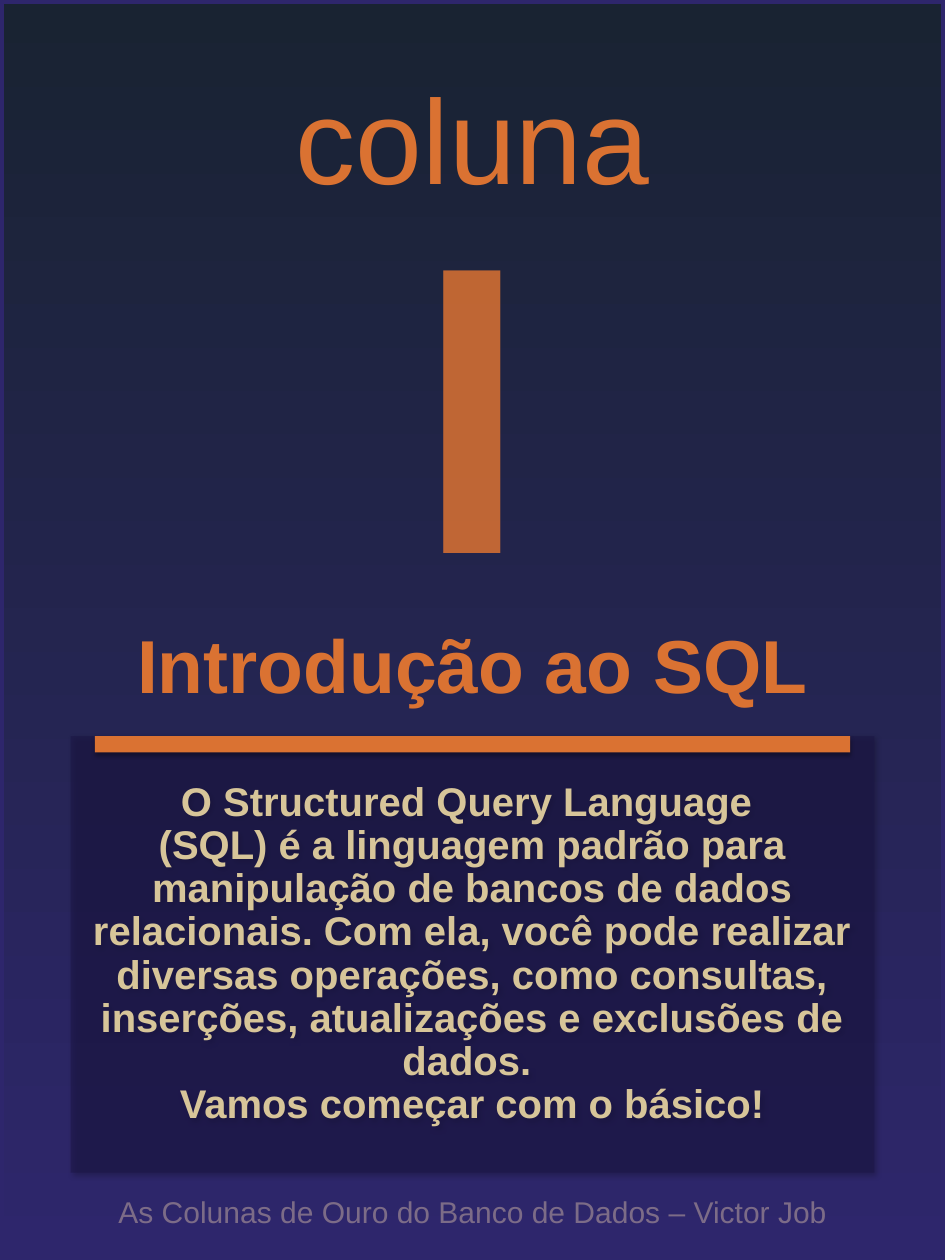
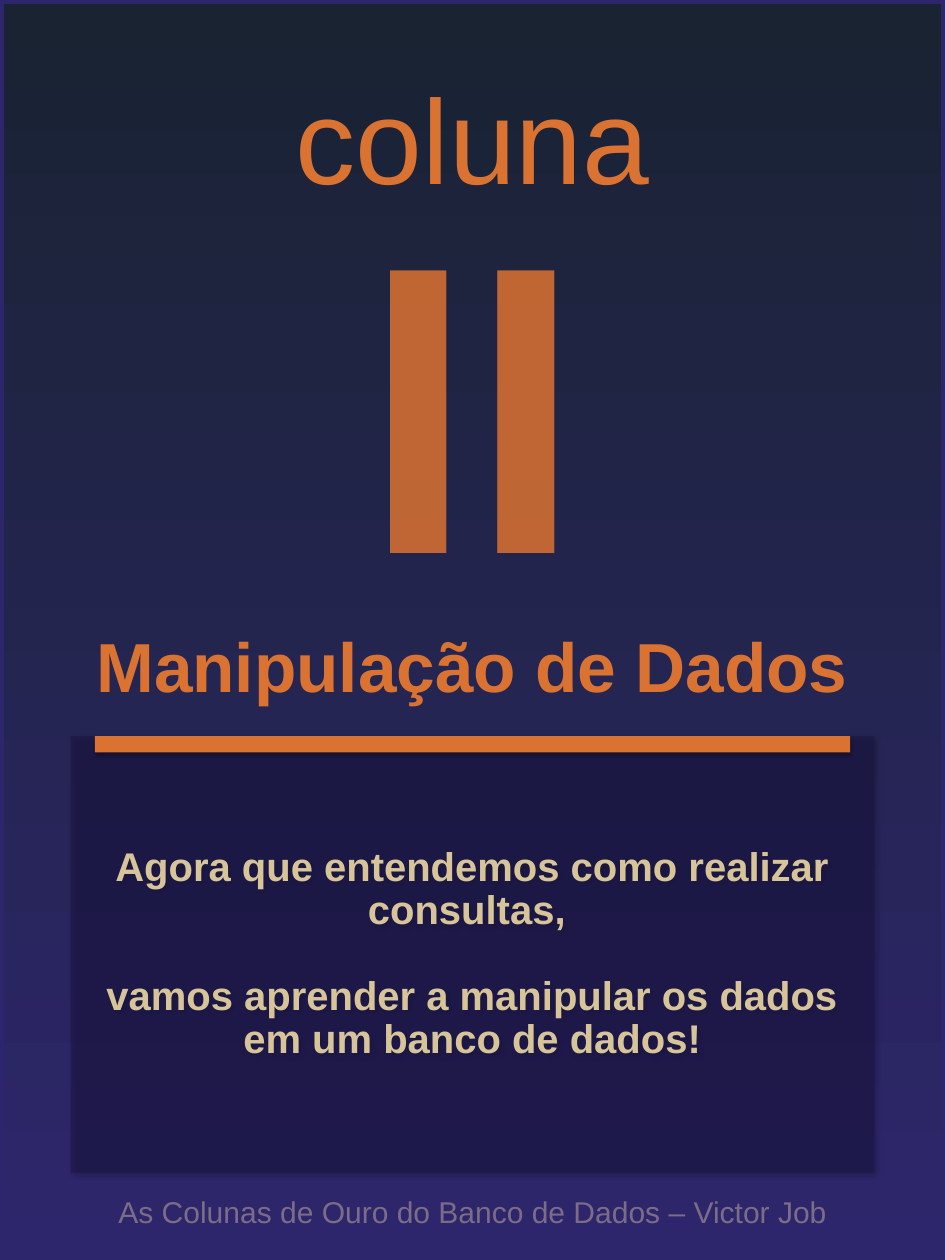
import pptx
import pptx.util
import pptx.dml.color
import pptx.enum.shapes
import pptx.enum.text
import pptx.oxml
import pptx.oxml.ns

COLUMNS = [
    {
        "numeral": "I",
        "heading": "Introdução ao SQL",
        "heading_size": 60,
        "summary": [
            "O Structured Query Language ",
            "(SQL) é a linguagem padrão para manipulação de bancos de dados "
            "relacionais. Com ela, você pode realizar diversas operações, como "
            "consultas, inserções, atualizações e exclusões de dados. ",
            "Vamos começar com o básico!",
        ],
        "summary_gap": 0,
    },
    {
        "numeral": "II",
        "heading": "Manipulação de Dados",
        "heading_size": 55.5,
        "summary": [
            "Agora que entendemos como realizar consultas, ",
            "vamos aprender a manipular os dados em um banco de dados!",
        ],
        "summary_gap": 34,
    },
]
LABEL = "coluna"
FOOTER = "As Colunas de Ouro do Banco de Dados – Victor Job"

COLORS = {
    "night": "192332",
    "indigo": "2E266C",
    "panel": "1B1545",
    "orange": "DA7232",
    "sand": "D7C599",
    "footer": "DABFAA",
    "shadow": "000000",
}
WIDTH, HEIGHT = 10.5, 14
PANEL_TOP, PANEL_WIDTH, PANEL_HEIGHT = 8.18, 8.93, 4.85
RULE_WIDTH, RULE_HEIGHT = 8.39, 0.18
BOXES = {
    "backdrop": (0, 0, WIDTH, HEIGHT),
    "banner": (0, 0.45, WIDTH, 7.1),
    "panel": ((WIDTH - PANEL_WIDTH) / 2, PANEL_TOP, PANEL_WIDTH, PANEL_HEIGHT),
    "footer": (0, 12.97, WIDTH, 1.03),
    "rule": ((WIDTH - RULE_WIDTH) / 2, PANEL_TOP, RULE_WIDTH, RULE_HEIGHT),
    "heading": (0, 6.64, WIDTH, 1.6),
}
NAMESPACE = pptx.oxml.ns.nsdecls("a")


def rgb(name):
    return pptx.dml.color.RGBColor.from_string(COLORS[name])


def inches(box):
    return [pptx.util.Inches(length) for length in BOXES[box]]


def set_alpha(fill, percent):
    color = fill._xPr.find(".//" + pptx.oxml.ns.qn("a:srgbClr"))
    color.append(pptx.oxml.parse_xml(f'<a:alpha {NAMESPACE} val="{percent * 1000}"/>'))


def add_shadow(part, alpha, blur, distance, angle):
    part._element.spPr.append(pptx.oxml.parse_xml(
        f'<a:effectLst {NAMESPACE}><a:outerShdw blurRad="{pptx.util.Pt(blur)}" '
        f'dist="{pptx.util.Pt(distance)}" dir="{angle * 60000}" algn="t" rotWithShape="0">'
        f'<a:srgbClr val="{COLORS["shadow"]}"><a:alpha val="{alpha * 1000}"/></a:srgbClr>'
        '</a:outerShdw></a:effectLst>'))


def outline_run(font, color, width, alpha):
    font.fill.background()
    font._element.insert(0, pptx.oxml.parse_xml(
        f'<a:ln {NAMESPACE} w="{pptx.util.Pt(width)}"><a:solidFill>'
        f'<a:srgbClr val="{COLORS[color]}"><a:alpha val="{alpha * 1000}"/></a:srgbClr>'
        '</a:solidFill></a:ln>'))


def write(part, text, size, color, font="Arial", bold=False, alpha=100, outline=0, gap=0):
    frame = part.text_frame
    frame.word_wrap = True
    frame.auto_size = pptx.enum.text.MSO_AUTO_SIZE.NONE
    frame.vertical_anchor = pptx.enum.text.MSO_ANCHOR.MIDDLE
    started = bool(frame.text)
    paragraph = frame.add_paragraph() if started else frame.paragraphs[0]
    paragraph.alignment = pptx.enum.text.PP_ALIGN.CENTER
    paragraph.line_spacing = 0.9
    paragraph.space_before = pptx.util.Pt(gap if started else 0)
    properties = paragraph._p.get_or_add_pPr()
    properties.set("marL", "0")
    properties.set("indent", "0")
    properties.append(pptx.oxml.parse_xml(f"<a:buNone {NAMESPACE}/>"))
    run = paragraph.add_run()
    run.text = text
    run.font.size = pptx.util.Pt(size)
    run.font.name = font
    run.font.bold = bold
    if outline:
        outline_run(run.font, color, outline, alpha)
    else:
        run.font.fill.solid()
        run.font.fill.fore_color.rgb = rgb(color)
        if alpha < 100:
            set_alpha(run.font.fill, alpha)


def add_rectangle(slide, box):
    rectangle = slide.shapes.add_shape(
        pptx.enum.shapes.MSO_SHAPE.RECTANGLE, *inches(box))
    rectangle.line.fill.background()
    return rectangle


def place(slide, placeholder, box):
    placeholder.left, placeholder.top, placeholder.width, placeholder.height = inches(box)
    slide.shapes._spTree.append(placeholder._element)
    return placeholder


def add_backdrop(slide):
    backdrop = add_rectangle(slide, "backdrop")
    backdrop.shadow.inherit = False
    backdrop.fill.gradient()
    backdrop.fill.gradient_angle = 270
    for stop, color, position in zip(backdrop.fill.gradient_stops, ("night", "indigo"), (0, 1)):
        stop.color.rgb = rgb(color)
        stop.position = position
    backdrop.line.color.rgb = rgb("indigo")
    backdrop.line.width = pptx.util.Pt(6)


def build_column(deck, column):
    slide = deck.slides.add_slide(deck.slide_layouts[1])
    add_backdrop(slide)

    banner = slide.shapes.add_textbox(*inches("banner"))
    write(banner, LABEL, 96, "orange", outline=4.5)
    write(banner, column["numeral"], 318, "orange", font="Roboto Condensed",
          bold=True, alpha=85, outline=16)

    panel = place(slide, slide.placeholders[1], "panel")
    panel.fill.solid()
    panel.fill.fore_color.rgb = rgb("panel")
    set_alpha(panel.fill, 52)
    add_shadow(panel, 40, 4, 3, 45)
    for sentence in column["summary"]:
        write(panel, sentence, 32, "sand", bold=True, gap=column["summary_gap"])

    footer = slide.shapes.add_textbox(*inches("footer"))
    write(footer, FOOTER, 24, "footer", alpha=45)

    rule = add_rectangle(slide, "rule")
    rule.fill.solid()
    rule.fill.fore_color.rgb = rgb("orange")
    add_shadow(rule, 32, 3.5, 2.2, 90)

    heading = place(slide, slide.shapes.title, "heading")
    write(heading, column["heading"], column["heading_size"], "orange", bold=True)


def main():
    deck = pptx.Presentation()
    deck.slide_width = pptx.util.Inches(WIDTH)
    deck.slide_height = pptx.util.Inches(HEIGHT)
    for column in COLUMNS:
        build_column(deck, column)
    deck.save("out.pptx")


if __name__ == "__main__":
    main()
